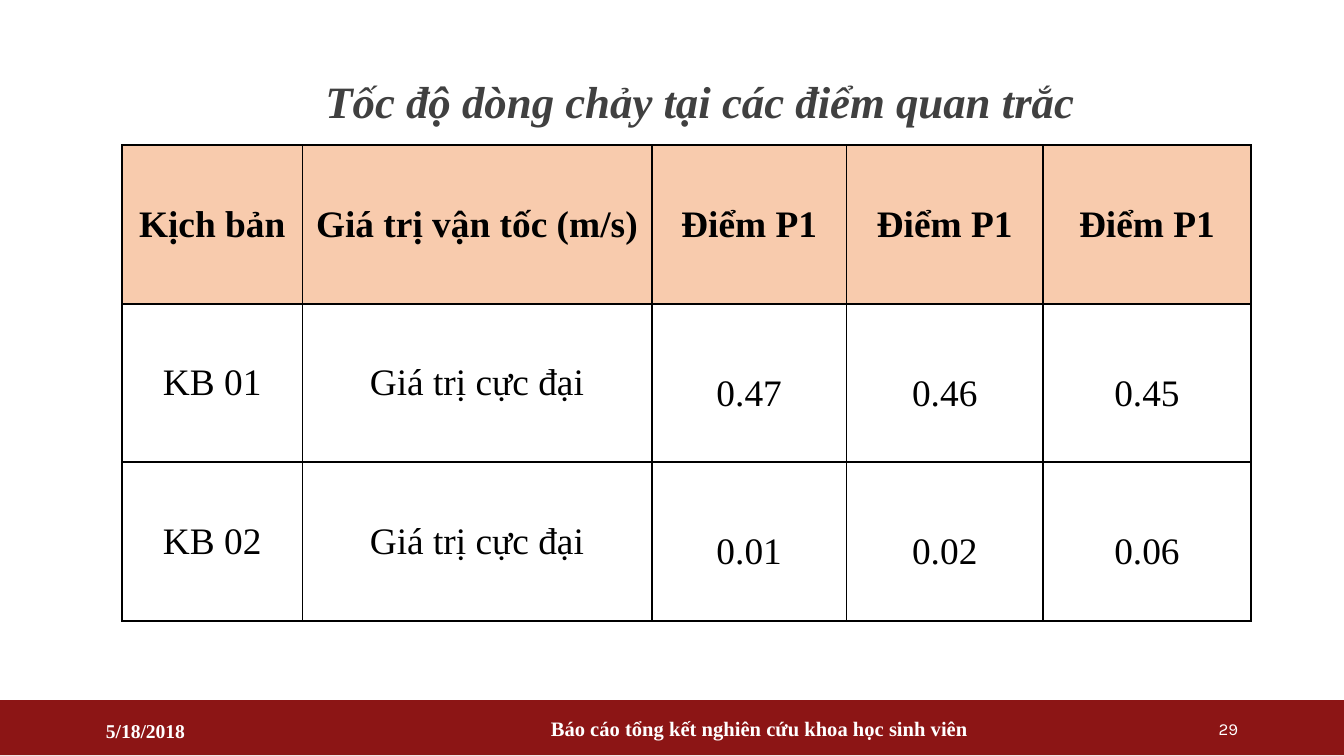
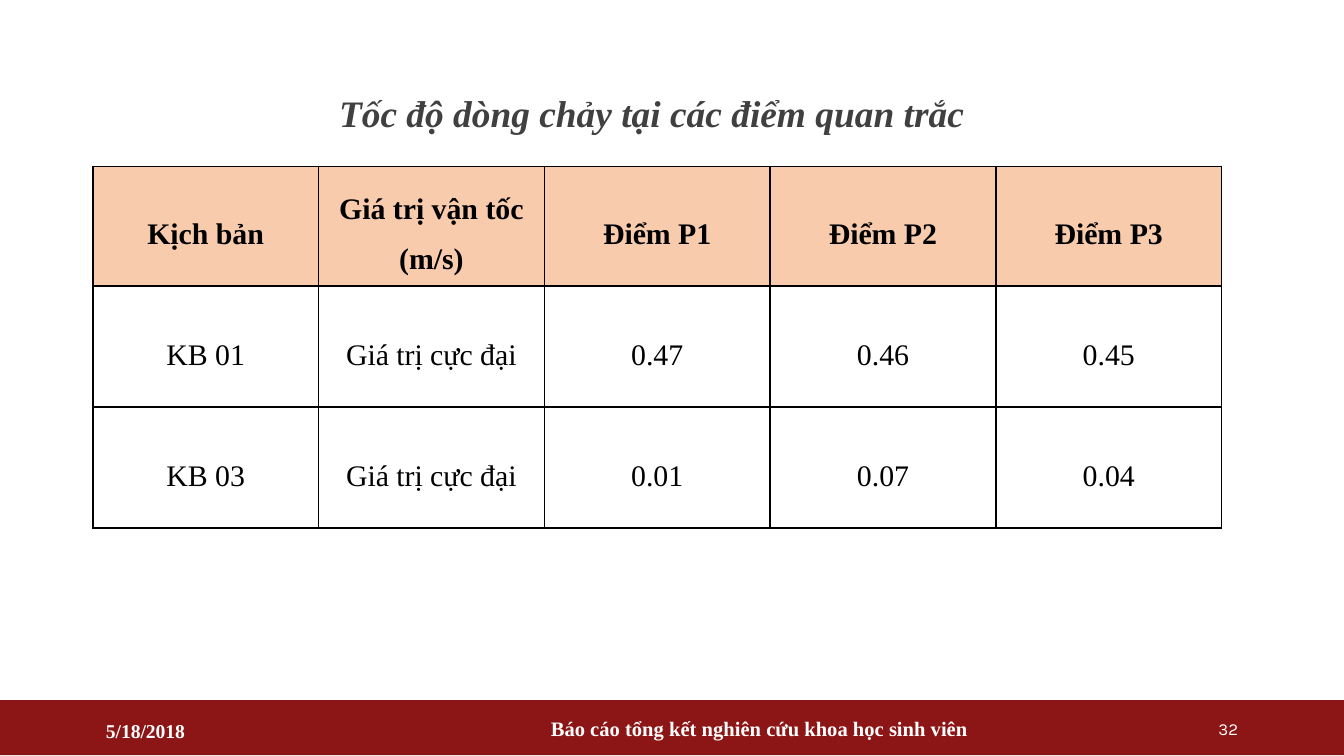
from lxml import etree
from pptx import Presentation
from pptx import util as u
from pptx.dml.color import RGBColor
from pptx.enum import shapes, text
from pptx.oxml import ns

SERIF, SANS = "Times New Roman", "Karla"
BAND, WHITE, BLACK, TITLE, HEADER = "8C1515", "FFFFFF", "000000", "404040", "F8CBAD"
LEFT, CENTER, RIGHT = text.PP_ALIGN.LEFT, text.PP_ALIGN.CENTER, text.PP_ALIGN.RIGHT
HEADING = "Tốc độ dòng chảy tại các điểm quan trắc"
TITLE_ONLY, TITLE_AND_BODY = 5, 1

FOOTERS = [
    ("5/18/2018", (0.69, 5.29, 1.24, 0.3), 10.5, SERIF, True, LEFT),
    ("Báo cáo tổng kết nghiên cứu khoa học sinh viên", (3.49, 5.27, 4.32, 0.3), 11, SERIF, True, CENTER),
    ("{number}", (7.94, 5.27, 1.37, 0.3), 9, SANS, False, RIGHT),
]

SLIDES = [
    {
        "number": 29, "layout": TITLE_ONLY, "heading_index": 0,
        "heading_area": (2.32, 0.29, 7.91, 0.97), "heading_size": 24,
        "heading_align": LEFT, "heading_before": 0,
        "table_at": (0.91, 1.08), "table_size": 20, "spaced_from": (1, 2),
        "columns": [1.34, 2.6, 1.45, 1.46, 1.55], "row_heights": [1.18] * 3,
        "rows": [
            ("Kịch bản", "Giá trị vận tốc (m/s)", "Điểm P1", "Điểm P1", "Điểm P1"),
            ("KB 01", "Giá trị cực đại", "0.47", "0.46", "0.45"),
            ("KB 02", "Giá trị cực đại", "0.01", "0.02", "0.06"),
        ],
    },
    {
        "number": 32, "layout": TITLE_AND_BODY, "heading_index": 1,
        "heading_area": (1.07, 0.61, 7.56, 0.5), "heading_size": 20,
        "heading_align": CENTER, "heading_before": 7.5,
        "table_at": (0.69, 1.24), "table_size": 16, "spaced_from": (0, 0),
        "columns": [1.68] * 5, "row_heights": [0.89, 0.9, 0.9],
        "rows": [
            ("Kịch bản", "Giá trị vận tốc (m/s)", "Điểm P1", "Điểm P2", "Điểm P3"),
            ("KB 01", "Giá trị cực đại", "0.47", "0.46", "0.45"),
            ("KB 03", "Giá trị cực đại", "0.01", "0.07", "0.04"),
        ],
    },
]


def inches(values):
    return [u.Inches(value) for value in values]


def paint(fill, color):
    fill.solid()
    fill.fore_color.rgb = RGBColor.from_string(color)


def remove_bullet(para):
    properties = para._p.get_or_add_pPr()
    properties.set("marL", "0")
    properties.set("indent", "0")
    etree.SubElement(properties, ns.qn("a:buNone"))


def write(frame, words, size, color, align, name=SERIF, bold=False, italic=False, plain=False):
    frame.text = words
    frame.word_wrap = True
    para = frame.paragraphs[0]
    if plain:
        remove_bullet(para)
    para.alignment = align
    font = para.font
    font.size, font.name, font.bold, font.italic = u.Pt(size), name, bold, italic
    font.color.rgb = RGBColor.from_string(color)
    return para


def add_heading(page, content):
    box = page.placeholders[content["heading_index"]]
    box.left, box.top, box.width, box.height = inches(content["heading_area"])
    frame = box.text_frame
    frame.auto_size = text.MSO_AUTO_SIZE.NONE
    frame.vertical_anchor = text.MSO_ANCHOR.MIDDLE
    para = write(frame, HEADING, content["heading_size"], TITLE,
                 content["heading_align"], bold=True, italic=True, plain=True)
    para.line_spacing = 0.9
    para.space_before = u.Pt(content["heading_before"])
    for holder in list(page.placeholders):
        if not holder.text_frame.text:
            holder.element.getparent().remove(holder.element)


def add_borders(cell):
    properties = cell._tc.get_or_add_tcPr()
    for side in ("lnL", "lnR", "lnT", "lnB"):
        line = etree.SubElement(properties, ns.qn(f"a:{side}"), w=str(u.Pt(1)))
        solid = etree.SubElement(line, ns.qn("a:solidFill"))
        etree.SubElement(solid, ns.qn("a:srgbClr"), val=BLACK)


def add_speeds(page, content):
    widths, heights = inches(content["columns"]), inches(content["row_heights"])
    table = page.shapes.add_table(len(heights), len(widths), *inches(content["table_at"]),
                                  sum(widths), sum(heights)).table
    table.first_row = table.horz_banding = False
    for column, width in zip(table.columns, widths):
        column.width = width
    for row, height in zip(table.rows, heights):
        row.height = height
    first_row, first_column = content["spaced_from"]
    for r, row in enumerate(content["rows"]):
        for c, words in enumerate(row):
            cell = table.cell(r, c)
            add_borders(cell)
            paint(cell.fill, WHITE if r else HEADER)
            cell.vertical_anchor = text.MSO_ANCHOR.MIDDLE
            para = write(cell.text_frame, words, content["table_size"], BLACK, CENTER, bold=r == 0)
            if r >= first_row and c >= first_column:
                cell.margin_left = cell.margin_right = u.Inches(0.07)
                cell.margin_top = cell.margin_bottom = 0
                para.line_spacing = 1.5
                para.space_after = u.Pt(6)


def add_footer(page, number):
    band = page.shapes.add_shape(shapes.MSO_SHAPE.RECTANGLE, *inches((0, 5.21, 10, 0.41)))
    band.shadow.inherit = False
    paint(band.fill, BAND)
    band.line.fill.background()
    for words, area, size, name, bold, align in FOOTERS:
        frame = page.shapes.add_textbox(*inches(area)).text_frame
        frame.vertical_anchor = text.MSO_ANCHOR.MIDDLE
        write(frame, words.format(number=number), size, WHITE, align, name, bold)


def main():
    """Build the flow speed slides and save the deck."""
    deck = Presentation()
    deck.slide_width = u.Inches(10)
    deck.slide_height = deck.slide_width * 9 // 16
    for content in SLIDES:
        page = deck.slides.add_slide(deck.slide_layouts[content["layout"]])
        add_heading(page, content)
        add_speeds(page, content)
        add_footer(page, content["number"])
    deck.save("out.pptx")


if __name__ == "__main__":
    main()
